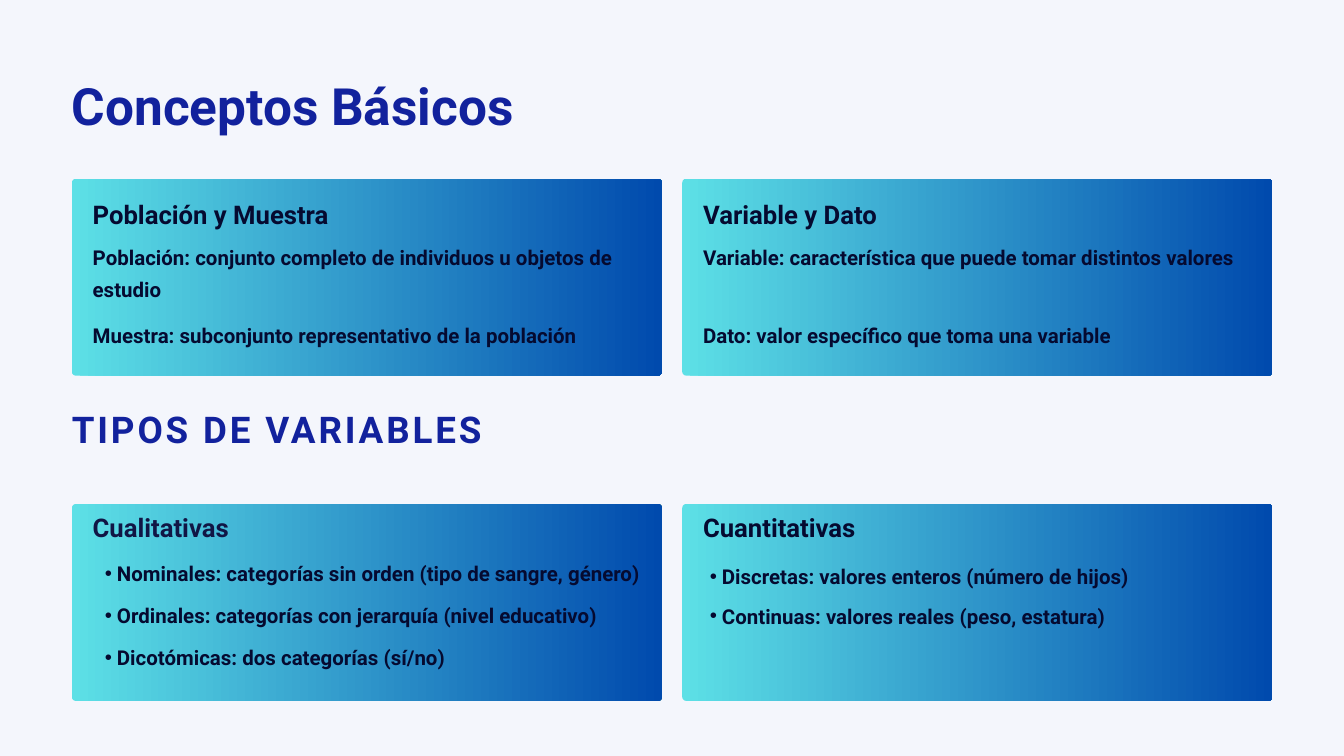
import pptx
import pptx.dml.color
import pptx.enum.shapes
import pptx.enum.text
import pptx.util
from lxml import etree

Pt = pptx.util.Pt


def color(hex_string):
    return pptx.dml.color.RGBColor.from_string(hex_string)


class SlideBuilder:
    FONT = "Roboto"
    PAPER = "F4F6FC"
    TITLE = "12229D"
    INK = "050A30"
    GRADIENT = ("5DE0E6", "004AAD")
    HEADING = {"size": 27.5, "spacing": 34.4}
    BODY = {"size": 21.9, "spacing": 35}

    def __init__(self, slide):
        self.slide = slide
        slide.background.fill.solid()
        slide.background.fill.fore_color.rgb = color(self.PAPER)

    def panel(self, left, top, width, height):
        shape = self.slide.shapes.add_shape(
            pptx.enum.shapes.MSO_SHAPE.ROUNDED_RECTANGLE,
            Pt(left), Pt(top), Pt(width), Pt(height))
        shape.adjustments[0] = 0.02
        shape.shadow.inherit = False
        shape.line.fill.background()
        shape.fill.gradient()
        shape.fill.gradient_angle = 0
        for stop, hex_string in zip(shape.fill.gradient_stops, self.GRADIENT):
            stop.color.rgb = color(hex_string)

    def placeholder(self, index, left, top, width, height):
        """Place a layout placeholder in front of everything drawn so far."""
        shape = self.slide.placeholders[index]
        shape.left, shape.top = Pt(left), Pt(top)
        shape.width, shape.height = Pt(width), Pt(height)
        shape.element.getparent().append(shape.element)
        return shape

    def text_box(self, left, top, width, height):
        return self.slide.shapes.add_textbox(Pt(left), Pt(top), Pt(width), Pt(height))

    def add_text(self, shape, lines, size, spacing, ink=INK, gap=0, bullets=False, tracking=0):
        frame = shape.text_frame
        frame.word_wrap = True
        frame.auto_size = pptx.enum.text.MSO_AUTO_SIZE.NONE
        frame.vertical_anchor = pptx.enum.text.MSO_ANCHOR.TOP
        frame.margin_left = frame.margin_right = 0
        frame.margin_top = frame.margin_bottom = 0
        for number, line in enumerate(lines):
            paragraph = frame.add_paragraph() if number else frame.paragraphs[0]
            if bullets:
                self.bullet(paragraph)
            paragraph.alignment = pptx.enum.text.PP_ALIGN.LEFT
            paragraph.line_spacing = Pt(spacing)
            paragraph.space_before = Pt(gap if number else 0)
            run = paragraph.add_run()
            run.text = line
            run.font.name = self.FONT
            run.font.size = Pt(size)
            run.font.bold = True
            run.font.color.rgb = color(ink)
            if tracking:
                run.font._element.set("spc", str(round(tracking * 100)))

    def bullet(self, paragraph):
        properties = paragraph._p.get_or_add_pPr()
        properties.set("marL", str(Pt(26)))
        properties.set("indent", str(Pt(-13)))
        namespace = properties.nsmap["a"]
        etree.SubElement(properties, f"{{{namespace}}}buChar", char="•")


def main():
    presentation = pptx.Presentation()
    presentation.slide_width, presentation.slide_height = Pt(1440), Pt(810)
    comparison_layout = presentation.slide_layouts[4]
    builder = SlideBuilder(presentation.slides.add_slide(comparison_layout))

    # Grid: two columns, two rows of panels
    margin, column_step = 77, 654
    panel_width, panel_height = 632, 211
    padding = 22.3
    concepts_top, types_top = 191.5, 540

    # Title
    title = builder.placeholder(0, margin, 76.3, 552, 68)
    builder.add_text(title, ["Conceptos Básicos"], 55, 68.7, builder.TITLE)

    # Basic concepts: heading and two definitions per panel
    concepts = [
        ("Población y Muestra",
         "Población: conjunto completo de individuos u objetos de estudio",
         "Muestra: subconjunto representativo de la población"),
        ("Variable y Dato",
         "Variable: característica que puede tomar distintos valores",
         "Dato: valor específico que toma una variable"),
    ]
    for column, (heading, first, second) in enumerate(concepts):
        left = margin + column * column_step
        builder.panel(left, concepts_top, panel_width, panel_height)
        left += padding
        builder.add_text(builder.text_box(left, 211.7, 276, 34), [heading], **builder.HEADING)
        builder.add_text(builder.text_box(left, 253.4, 588, 68), [first], **builder.BODY)
        builder.add_text(builder.text_box(left, 337.7, 588, 33), [second], **builder.BODY)

    # Section title
    section = builder.text_box(margin, 433.5, 442, 50)
    builder.add_text(section, ["TIPOS DE VARIABLES"], 39.4, 49.5, builder.TITLE, tracking=3.1)

    # Variable types: heading, ink, list offset, list top, paragraph gap, items
    types_of_variable = [
        ("Cualitativas", "111645", 0, 592.6, 9.7,
         ["Nominales: categorías sin orden (tipo de sangre, género)",
          "Ordinales: categorías con jerarquía (nivel educativo)",
          "Dicotómicas: dos categorías (sí/no)"]),
        ("Cuantitativas", builder.INK, -5.8, 595.4, 7.6,
         ["Discretas: valores enteros (número de hijos)",
          "Continuas: valores reales (peso, estatura)"]),
    ]
    for column, (heading, ink, offset, top, gap, items) in enumerate(types_of_variable):
        left = margin + column * column_step
        builder.panel(left, types_top, panel_width, panel_height)
        left += padding
        heading_box = builder.placeholder(1 + 2 * column, left, 546.5, 276, 34)
        builder.add_text(heading_box, [heading], ink=ink, **builder.HEADING)
        list_box = builder.placeholder(2 + 2 * column, left + offset, top, 615, 125)
        builder.add_text(list_box, items, gap=gap, bullets=True, **builder.BODY)

    presentation.save("out.pptx")


if __name__ == "__main__":
    main()
